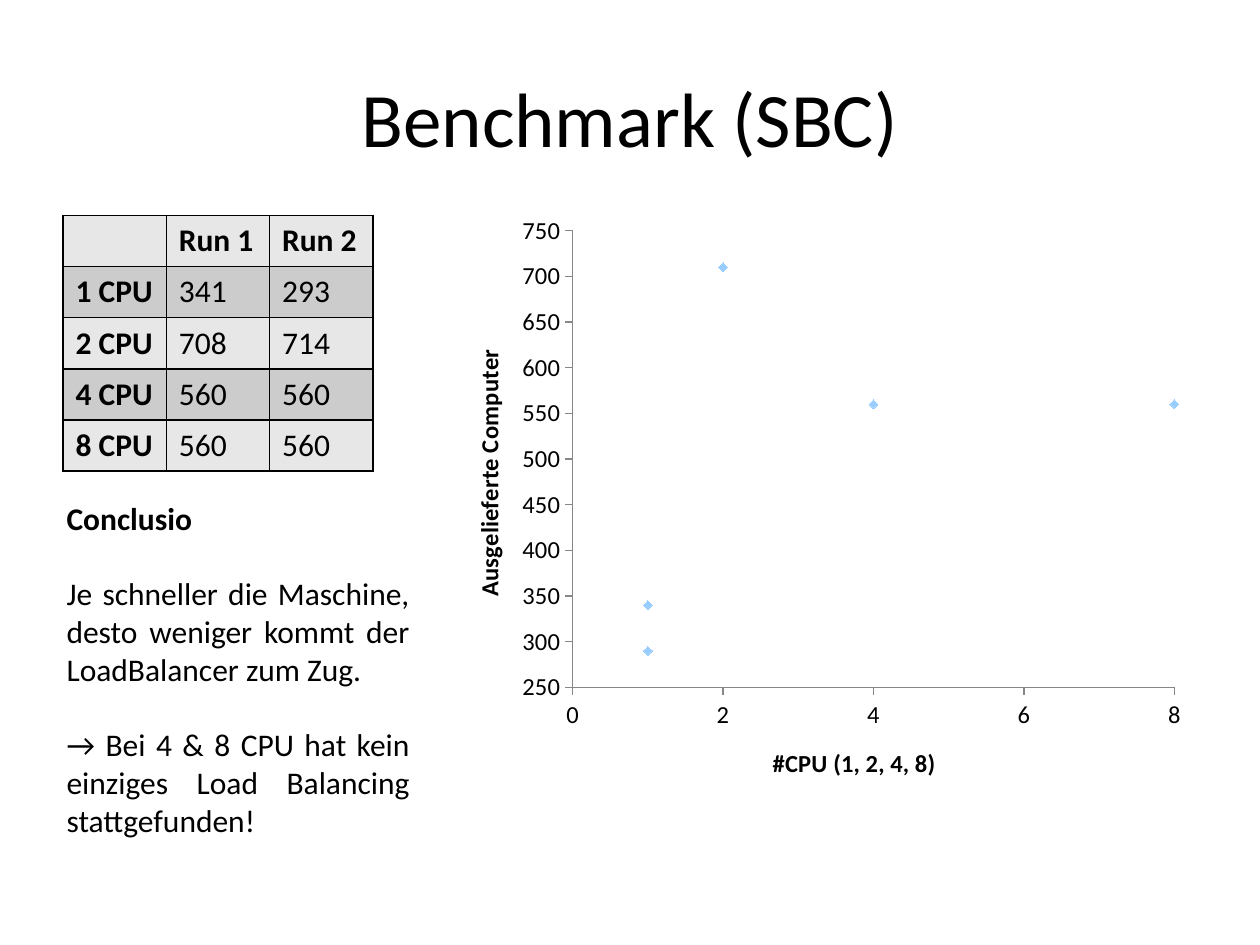
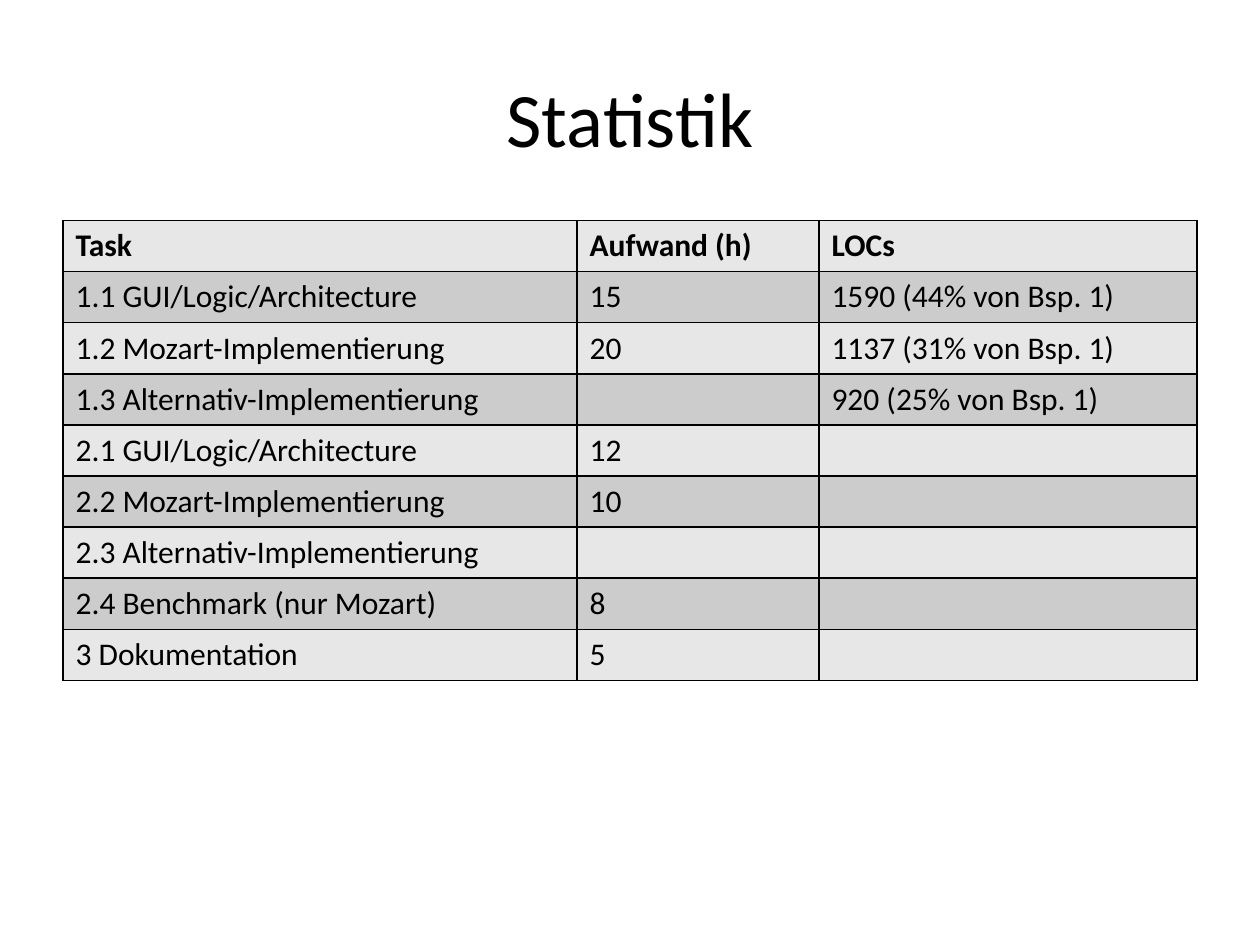
import pptx
import pptx.chart.data
import pptx.dml.color
import pptx.enum.chart
import pptx.enum.text
import pptx.oxml
import pptx.oxml.ns
import pptx.util

Inches = pptx.util.Inches
Pt = pptx.util.Pt
RGBColor = pptx.dml.color.RGBColor
qn = pptx.oxml.ns.qn

BLACK = RGBColor(0x00, 0x00, 0x00)
LIGHT_ROW = RGBColor(0xE7, 0xE7, 0xE7)
DARK_ROW = RGBColor(0xCC, 0xCC, 0xCC)
MARKER_BLUE = RGBColor(0x99, 0xCC, 0xFF)
AXIS_GRAY = RGBColor(0x87, 0x87, 0x87)

# Delivered computers per number of CPUs: run 1, run 2
BENCHMARK_RUNS = {1: (341, 293), 2: (708, 714), 4: (560, 560), 8: (560, 560)}

TASKS = [
    ("1.1 GUI/Logic/Architecture", "15", "1590 (44% von Bsp. 1)"),
    ("1.2 Mozart-Implementierung", "20", "1137 (31% von Bsp. 1)"),
    ("1.3 Alternativ-Implementierung", "", "920 (25% von Bsp. 1)"),
    ("2.1 GUI/Logic/Architecture", "12", ""),
    ("2.2 Mozart-Implementierung", "10", ""),
    ("2.3 Alternativ-Implementierung", "", ""),
    ("2.4 Benchmark (nur Mozart)", "8", ""),
    ("3 Dokumentation", "5", ""),
]


def set_layout(element, index, x, y, size=None):
    """Place a chart part by fractions of the chart area."""
    layout = element.find(qn("c:layout"))
    if layout is not None:
        element.remove(layout)
    values = [("xMode", "edge"), ("yMode", "edge"), ("x", x), ("y", y)]
    if size:
        values.insert(0, ("layoutTarget", "inner"))
        values += [("w", size[0]), ("h", size[1])]
    children = "".join(f'<c:{name} val="{value}"/>' for name, value in values)
    element.insert(index, pptx.oxml.parse_xml(
        f'<c:layout {pptx.oxml.ns.nsdecls("c")}>'
        f'<c:manualLayout>{children}</c:manualLayout></c:layout>'))


def set_borders(cell):
    properties = cell._tc.get_or_add_tcPr()
    for index, side in enumerate("LRTB"):
        properties.insert(index, pptx.oxml.parse_xml(
            f'<a:ln{side} {pptx.oxml.ns.nsdecls("a")} w="{Pt(1)}">'
            f'<a:solidFill><a:srgbClr val="{BLACK}"/></a:solidFill></a:ln{side}>'))


class Deck:
    FONT = "Calibri"
    TITLE_SIZE = 44
    BODY_SIZE = 18
    CHART_SIZE = 14

    def __init__(self):
        self.presentation = pptx.Presentation()
        self.presentation.slide_width = Inches(10)
        self.presentation.slide_height = Inches(7.5)
        self.slide = None

    def style(self, font, size, bold=False):
        font.name = self.FONT
        font.size = Pt(size)
        font.bold = bold
        font.color.rgb = BLACK

    def add_run(self, paragraph, text, size, bold=False):
        run = paragraph.add_run()
        run.text = text
        self.style(run.font, size, bold)

    def add_slide(self, title):
        self.slide = self.presentation.slides.add_slide(self.presentation.slide_layouts[5])
        shape = self.slide.shapes.title
        shape.left, shape.top = Inches(0.5), Inches(0.3)
        shape.width, shape.height = Inches(9), Inches(1.25)
        shape.text_frame.vertical_anchor = pptx.enum.text.MSO_ANCHOR.MIDDLE
        paragraph = shape.text_frame.paragraphs[0]
        paragraph.alignment = pptx.enum.text.PP_ALIGN.CENTER
        self.add_run(paragraph, title, self.TITLE_SIZE)

    def add_table(self, left, top, height, column_widths, rows, bold_first_column=False):
        table = self.slide.shapes.add_table(
            len(rows), len(column_widths), Inches(left), Inches(top),
            Inches(sum(column_widths)), Inches(height)).table
        for column, width in zip(table.columns, column_widths):
            column.width = Inches(width)
        for row_index, row in enumerate(rows):
            for column_index, text in enumerate(row):
                cell = table.cell(row_index, column_index)
                cell.fill.solid()
                cell.fill.fore_color.rgb = DARK_ROW if row_index % 2 else LIGHT_ROW
                set_borders(cell)
                if text:
                    bold = row_index == 0 or (bold_first_column and column_index == 0)
                    self.add_run(cell.text_frame.paragraphs[0], text, self.BODY_SIZE, bold)

    def add_justified_text(self, left, top, width, height, heading, texts):
        box = self.slide.shapes.add_textbox(
            Inches(left), Inches(top), Inches(width), Inches(height))
        frame = box.text_frame
        frame.word_wrap = True
        for index, text in enumerate([heading, *texts]):
            paragraph = frame.add_paragraph() if index else frame.paragraphs[0]
            paragraph.alignment = pptx.enum.text.PP_ALIGN.JUSTIFY
            if index:
                paragraph.space_before = Pt(21.5)
            self.add_run(paragraph, text, self.BODY_SIZE, bold=index == 0)

    def format_axis(self, axis, title, minimum, maximum, step, title_position):
        axis.minimum_scale, axis.maximum_scale = minimum, maximum
        axis.major_unit = step
        axis.has_major_gridlines = False
        axis.major_tick_mark = pptx.enum.chart.XL_TICK_MARK.OUTSIDE
        axis.minor_tick_mark = pptx.enum.chart.XL_TICK_MARK.NONE
        axis.format.line.color.rgb = AXIS_GRAY
        axis.format.line.width = Pt(0.75)
        self.style(axis.tick_labels.font, self.CHART_SIZE)
        paragraph = axis.axis_title.text_frame.paragraphs[0]
        self.add_run(paragraph, title, self.CHART_SIZE, bold=True)
        set_layout(axis.axis_title._element, 1, *title_position)

    def add_scatter_chart(self, left, top, width, height, points):
        data = pptx.chart.data.XyChartData()
        series_data = data.add_series("Series 1")
        for x, y in points:
            series_data.add_data_point(x, y)
        chart = self.slide.shapes.add_chart(
            pptx.enum.chart.XL_CHART_TYPE.XY_SCATTER, Inches(left), Inches(top),
            Inches(width), Inches(height), data).chart
        self.style(chart.font, self.CHART_SIZE)
        chart.has_legend = False
        chart.has_title = False
        plot = chart.plots[0]
        plot.vary_by_categories = False
        series = plot.series[0]
        series.smooth = False
        series.format.line.fill.background()
        series.marker.style = pptx.enum.chart.XL_MARKER_STYLE.DIAMOND
        series.marker.size = 5
        series.marker.format.fill.solid()
        series.marker.format.fill.fore_color.rgb = MARKER_BLUE
        series.marker.format.line.color.rgb = MARKER_BLUE
        plot_area = chart._chartSpace.find(".//" + qn("c:plotArea"))
        set_layout(plot_area, 0, 0.17, 0.04, (0.8, 0.76))
        self.format_axis(chart.category_axis, "#CPU (1, 2, 4, 8)", 0, 8, 2, (0.43, 0.89))
        self.format_axis(chart.value_axis, "Ausgelieferte Computer", 250, 750, 50, (0.03, 0.23))


def add_benchmark_slide(deck):
    deck.add_slide("Benchmark (SBC)")
    points = [(cpus, round(count, -1))
              for cpus, counts in BENCHMARK_RUNS.items() for count in counts]
    deck.add_scatter_chart(3.53, 1.64, 5.97, 4.77, points)
    rows = [("", "Run 1", "Run 2")]
    rows += [(f"{cpus} CPU", *map(str, counts)) for cpus, counts in BENCHMARK_RUNS.items()]
    deck.add_table(0.5, 1.71, 2.03, [0.82] * 3, rows, bold_first_column=True)
    deck.add_justified_text(0.43, 3.91, 2.92, 2.83, "Conclusio", [
        "Je schneller die Maschine, desto weniger kommt der LoadBalancer zum Zug.",
        "→ Bei 4 & 8 CPU hat kein einziges Load Balancing stattgefunden!",
    ])


def add_statistics_slide(deck):
    deck.add_slide("Statistik")
    rows = [("Task", "Aufwand (h)", "LOCs"), *TASKS]
    deck.add_table(0.5, 1.75, 3.65, [4.08, 1.92, 3], rows)


def main():
    deck = Deck()
    add_benchmark_slide(deck)
    add_statistics_slide(deck)
    deck.presentation.save("out.pptx")


if __name__ == "__main__":
    main()
